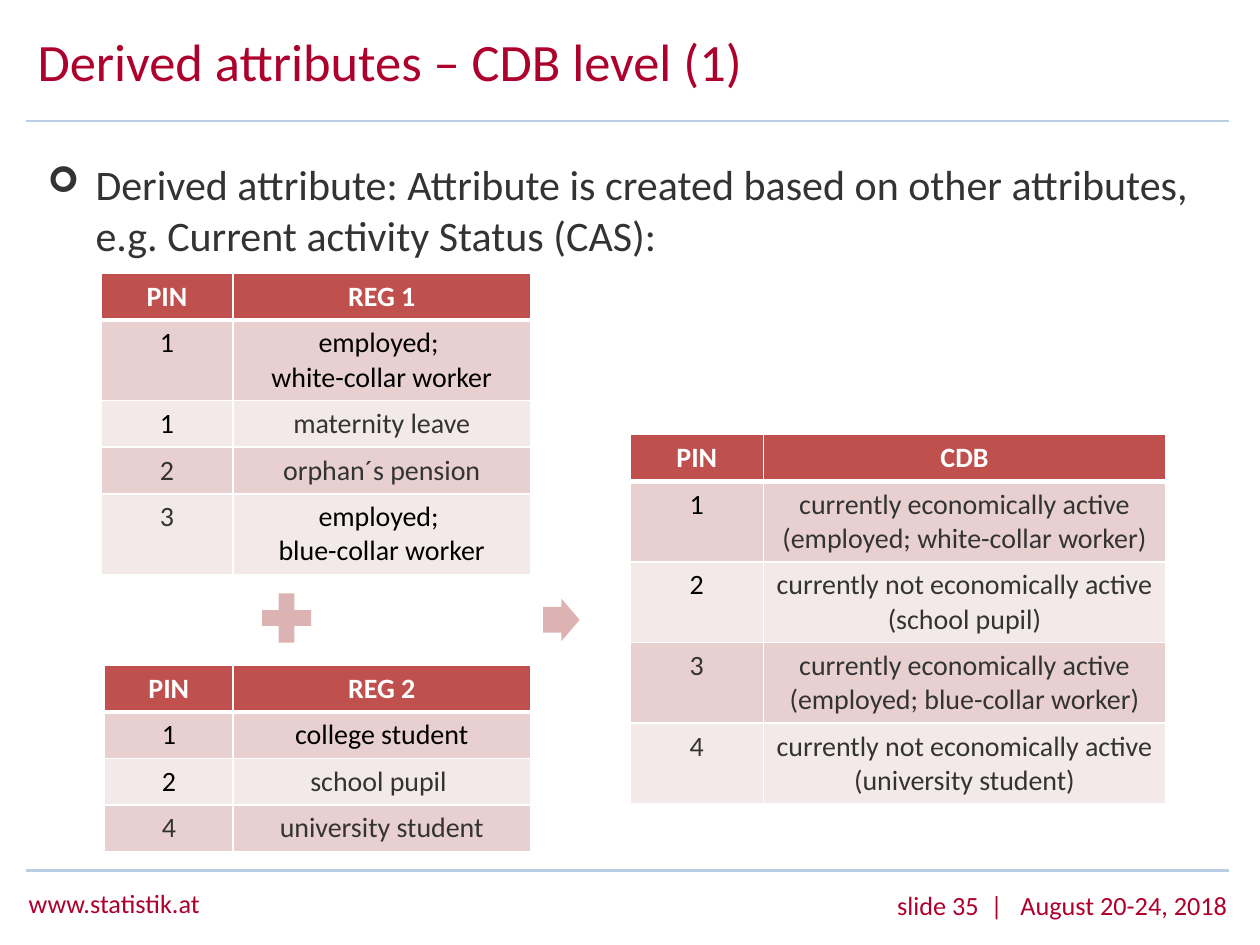
from lxml.etree import SubElement
from pptx import Presentation
from pptx.dml.color import RGBColor
from pptx.enum.shapes import MSO_CONNECTOR, MSO_SHAPE
from pptx.enum.text import MSO_ANCHOR, PP_ALIGN
from pptx.oxml.ns import qn
from pptx.util import Inches, Pt

COLORS = {
    "crimson": "AE002C", "rule": "B9CDE5", "grey": "333333", "black": "000000",
    "white": "FFFFFF", "header": "C0504D", "band_dark": "E8D0D0",
    "band_light": "F4E9E9", "symbol": "DCB3B2",
}


def write(frame, text, size=16, color="grey", bold=False, align=PP_ALIGN.LEFT,
          anchor=MSO_ANCHOR.TOP, bullet=None):
    frame.word_wrap = True
    frame.vertical_anchor = anchor
    paragraph = frame.paragraphs[0]
    paragraph.text = text
    paragraph.alignment = align
    if bullet:
        props = paragraph._p.get_or_add_pPr()
        props.set("marL", str(Inches(0.38)))
        props.set("indent", str(-Inches(0.38)))
        bullet_color = SubElement(props, qn("a:buClr"))
        SubElement(bullet_color, qn("a:srgbClr"), val=COLORS[color])
        SubElement(props, qn("a:buSzPct"), val="85000")
        SubElement(props, qn("a:buFont"), typeface="Wingdings")
        SubElement(props, qn("a:buChar"), char=bullet)
    for run in paragraph.runs:
        run.font.name = "Calibri"
        run.font.size = Pt(size)
        run.font.bold = bold
        run.font.color.rgb = RGBColor.from_string(COLORS[color])
    # Line breaks take the text size too
    for line_break in paragraph._p.findall(qn("a:br")):
        SubElement(line_break, qn("a:rPr"), sz=str(size * 100))
    return paragraph


def set_borders(cell, top, bottom):
    props = cell._tc.get_or_add_tcPr()
    widths = {"lnL": 1, "lnR": 1, "lnT": top, "lnB": bottom}
    for position, (side, width) in enumerate(widths.items()):
        border = SubElement(props, qn(f"a:{side}"), w=str(Pt(width)))
        fill = SubElement(border, qn("a:solidFill"))
        SubElement(fill, qn("a:srgbClr"), val=COLORS["white"])
        props.insert(position, border)


prs = Presentation()
prs.slide_width, prs.slide_height = Inches(10), Inches(7.5)
slide = prs.slides.add_slide(prs.slide_layouts[6])
shapes = slide.shapes

# Rules below the title and above the footer
for y in (0.96, 6.91):
    rule = shapes.add_connector(MSO_CONNECTOR.STRAIGHT, Inches(0.21), Inches(y),
                                Inches(9.75), Inches(y))
    rule.line.color.rgb = RGBColor.from_string(COLORS["rule"])
    rule.line.width = Pt(1.5)
    SubElement(rule._element.spPr, qn("a:effectLst"))

# Title, statement and footer
texts = [
    ((0.2, 0.25, 7.63, 0.54), "Derived attributes – CDB level (1)",
     dict(size=30, color="crimson", anchor=MSO_ANCHOR.MIDDLE)),
    ((0.28, 1.21, 9.29, 0.92),
     "Derived attribute: Attribute is created based on other attributes, "
     "e.g. Current activity Status (CAS):", dict(size=24, bullet="➢")),
    ((0.13, 6.99, 2.27, 0.35), "www.statistik.at", dict(size=15, color="crimson")),
    ((5.68, 7.01, 4.16, 0.35), "slide 35  |   August 20-24, 2018",
     dict(size=15, color="crimson", align=PP_ALIGN.RIGHT)),
]
for box, text, style in texts:
    frame = shapes.add_textbox(*map(Inches, box)).text_frame
    paragraph = write(frame, text, **style)
    if style["size"] == 30:
        paragraph.line_spacing = Pt(30)

# Register tables and the resulting central database
SINGLE, DOUBLE = 0.37, 0.64
registers = [
    ((0.8, 2.17), (1.05, 2.36), "REG 1", [
        ("1", "black", "employed; \nwhite-collar worker", "black", DOUBLE),
        ("1", "black", "maternity leave", "grey", SINGLE),
        ("2", "grey", "orphan´s pension", "grey", SINGLE),
        ("3", "grey", "employed; \nblue-collar worker", "black", DOUBLE),
    ]),
    ((0.83, 5.28), (1.02, 2.36), "REG 2", [
        ("1", "black", "college student", "black", SINGLE),
        ("2", "black", "school pupil ", "grey", SINGLE),
        ("4", "grey", "university student", "grey", SINGLE),
    ]),
    ((5, 3.45), (1.06, 3.19), "CDB", [
        ("1", "black", "currently economically active (employed; white-collar worker)",
         "grey", DOUBLE),
        ("2", "black", "currently not economically active (school pupil)", "grey", DOUBLE),
        ("3", "grey", "currently economically active (employed; blue-collar worker)",
         "grey", DOUBLE),
        ("4", "grey", "currently not economically active (university student)",
         "grey", DOUBLE),
    ]),
]
for (left, top), widths, heading, records in registers:
    rows = [("PIN", "white", heading, "white", SINGLE)] + records
    height = sum(row[-1] for row in rows)
    table = shapes.add_table(len(rows), 2, Inches(left), Inches(top),
                             Inches(sum(widths)), Inches(height)).table
    for column, width in zip(table.columns, widths):
        column.width = Inches(width)
    for r, (pin, pin_color, status, status_color, row_height) in enumerate(rows):
        table.rows[r].height = Inches(row_height)
        band = "header" if r == 0 else "band_dark" if r % 2 else "band_light"
        for c, (text, color) in enumerate([(pin, pin_color), (status, status_color)]):
            cell = table.cell(r, c)
            cell.fill.solid()
            cell.fill.fore_color.rgb = RGBColor.from_string(COLORS[band])
            set_borders(cell, top=3 if r == 1 else 1, bottom=3 if r == 0 else 1)
            write(cell.text_frame, text, color=color, bold=r == 0, align=PP_ALIGN.CENTER)

# Plus between the registers, arrow to the result
plus = shapes.add_shape(MSO_SHAPE.MATH_PLUS, Inches(2.01), Inches(4.64),
                        Inches(0.53), Inches(0.53))
arrow = shapes.add_shape(MSO_SHAPE.RIGHT_ARROW, Inches(4.31), Inches(4.75),
                         Inches(0.29), Inches(0.34))
arrow.adjustments[0] = 0.6
for symbol in (plus, arrow):
    symbol.shadow.inherit = False
    symbol.fill.solid()
    symbol.fill.fore_color.rgb = RGBColor.from_string(COLORS["symbol"])
    symbol.line.fill.background()

prs.save("out.pptx")
